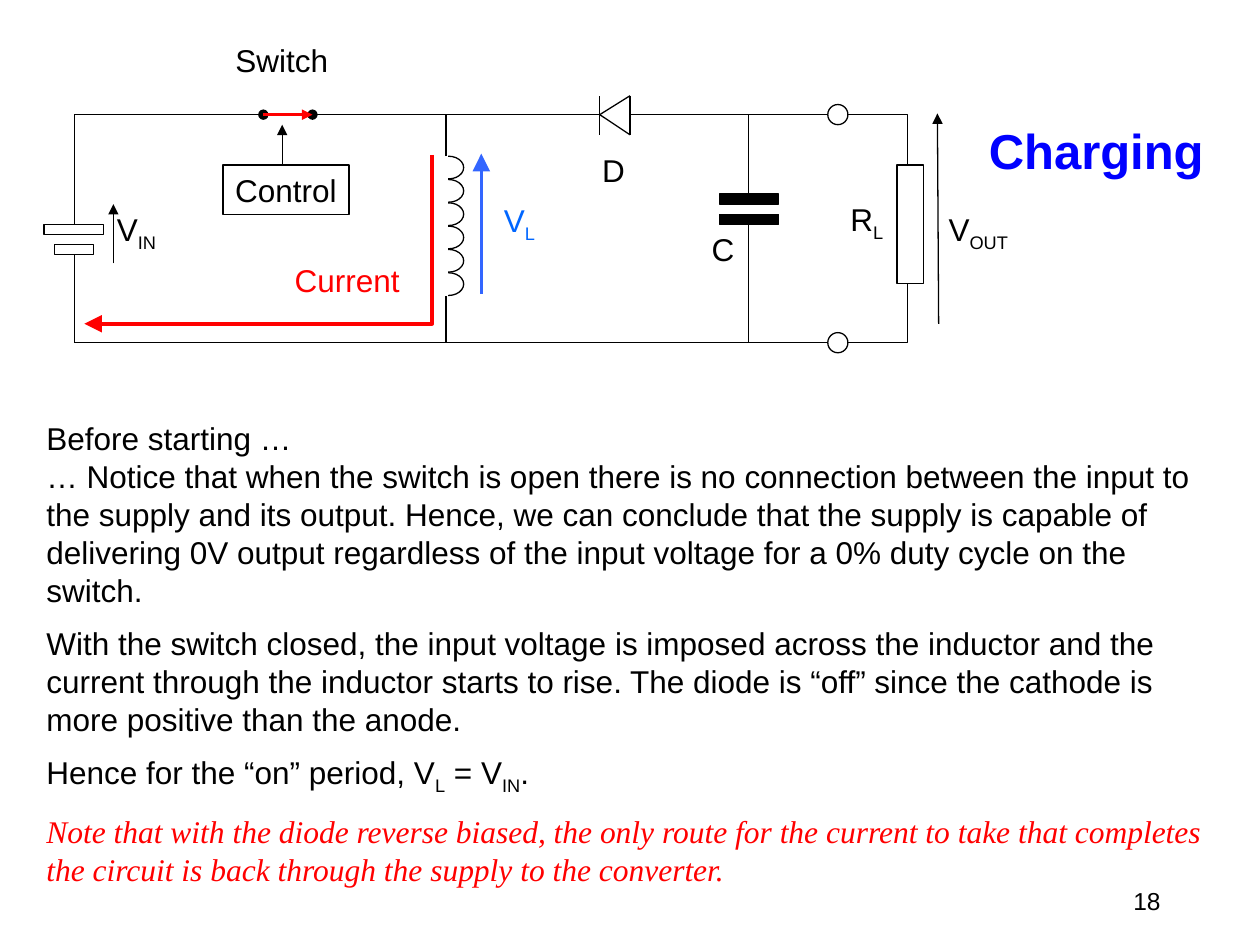
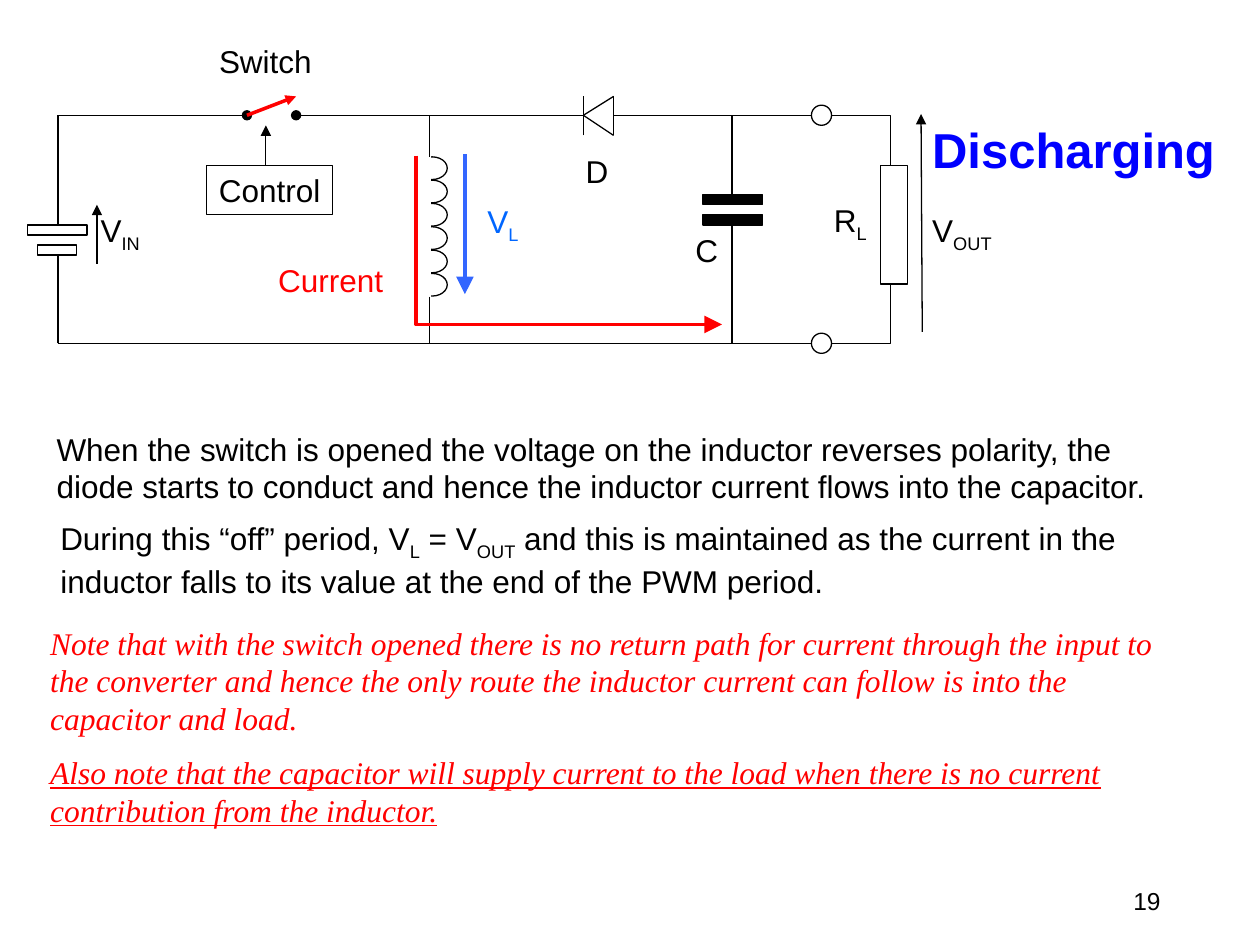
from dataclasses import dataclass

from lxml import etree
from pptx import Presentation
from pptx.dml.color import RGBColor
from pptx.enum.shapes import MSO_CONNECTOR, MSO_SHAPE
from pptx.enum.text import MSO_ANCHOR, MSO_AUTO_SIZE, PP_ALIGN
from pptx.oxml.ns import qn
from pptx.util import Inches, Pt

STRAIGHT = MSO_CONNECTOR.STRAIGHT
RECTANGLE = MSO_SHAPE.RECTANGLE
OVAL = MSO_SHAPE.OVAL
MIDDLE = MSO_ANCHOR.MIDDLE
GROW, FIXED = MSO_AUTO_SIZE.SHAPE_TO_FIT_TEXT, MSO_AUTO_SIZE.NONE
LEFT, CENTER, RIGHT = PP_ALIGN.LEFT, PP_ALIGN.CENTER, PP_ALIGN.RIGHT


@dataclass(frozen=True)
class Theme:
    black: str = "000000"
    white: str = "FFFFFF"
    red: str = "FF0000"
    title: str = "0000FF"
    voltage_arrow: str = "3366FF"
    voltage_label: str = "0066FF"
    sans: str = "Arial"
    serif: str = "Times New Roman"
    title_size: int = 28
    body_size: int = 18
    number_size: int = 14
    paragraph_gap: int = 9
    thin: float = 0.75
    thick: float = 2


@dataclass(frozen=True)
class Box:
    left: float
    top: float
    width: float
    height: float

    def inside(self, left, top, width, height):
        return Box(self.left + left, self.top + top, width, height)

    def point(self, x, y):
        return Inches(self.left + x), Inches(self.top + y)

    def lengths(self):
        return [Inches(v) for v in (self.left, self.top, self.width, self.height)]


THEME = Theme()
NOTE = {"font": THEME.serif, "color": THEME.red, "italic": True}


def rgb(color):
    return RGBColor.from_string(color)


def write(frame, text, font=THEME.sans, size=THEME.body_size, color=THEME.black,
          bold=False, italic=False, underline=False, align=LEFT, gap=THEME.paragraph_gap):
    """Text between tildes is set as a subscript."""
    para = frame.paragraphs[0]
    if para.runs:
        para = frame.add_paragraph()
        para.space_before = Pt(gap)
    para.alignment = align
    for index, piece in enumerate(text.split("~")):
        span = para.add_run()
        span.text = piece
        span.font.name = font
        span.font.size = Pt(size)
        span.font.color.rgb = rgb(color)
        span.font.bold = bold
        span.font.italic = italic
        span.font.underline = underline
        if index % 2:
            span.font._element.set("baseline", "-25000")


def text_frame(page, box, wrap=True, fit=GROW):
    frame = page.shapes.add_textbox(*box.lengths()).text_frame
    frame.word_wrap = wrap
    frame.auto_size = fit
    return frame


def label(page, box, text, **style):
    write(text_frame(page, box, wrap=False), text, **style)


def set_line(line, color, width, end=None, end_size="med"):
    line.color.rgb = rgb(color)
    line.width = Pt(width)
    if end:
        etree.SubElement(line._get_or_add_ln(), qn("a:tailEnd"),
                         type=end, w=end_size, len=end_size)


def draw_line(page, box, start, finish, color=THEME.black, width=THEME.thin, end=None,
              end_size="med"):
    connector = page.shapes.add_connector(STRAIGHT, *box.point(*start), *box.point(*finish))
    set_line(connector.line, color, width, end, end_size)
    etree.SubElement(connector._element.spPr, qn("a:effectLst"))


def draw_path(page, box, points, color=THEME.black, width=THEME.thin, end=None,
              end_size="med"):
    start, *rest = [box.point(*point) for point in points]
    builder = page.shapes.build_freeform(*start, scale=1.0)
    builder.add_line_segments(rest, close=False)
    shape = builder.convert_to_shape()
    shape.shadow.inherit = False
    shape.fill.background()
    set_line(shape.line, color, width, end, end_size)


def draw_shape(page, kind, box, fill=None, line=THEME.black):
    shape = page.shapes.add_shape(kind, *box.lengths())
    shape.shadow.inherit = False
    if fill:
        shape.fill.solid()
        shape.fill.fore_color.rgb = rgb(fill)
    else:
        shape.fill.background()
    set_line(shape.line, line, THEME.thin)
    return shape


def draw_source(page, box):
    draw_shape(page, RECTANGLE, box.inside(0, 1.5, 0.47, 0.08))
    draw_shape(page, RECTANGLE, box.inside(0.08, 1.66, 0.31, 0.08))
    draw_line(page, box, (0.24, 1.5), (0.24, 0.63))
    draw_line(page, box, (0.24, 2.44), (0.24, 1.74))
    draw_line(page, box, (0.55, 1.81), (0.55, 1.34), end="triangle")
    label(page, box.inside(0.48, 1.34, 0.53, 0.4), "V~IN~")


def draw_switch(page, box, tip):
    draw_line(page, box, (0.24, 0.63), (1.74, 0.63), end="oval")
    draw_line(page, box, (4.41, 0.63), (2.13, 0.63), end="oval")
    draw_line(page, box, (1.74, 0.63), (2.13, tip), THEME.red, THEME.thick, "triangle")
    control = draw_shape(page, RECTANGLE, box.inside(1.42, 1.03, 1, 0.39))
    control.text_frame.word_wrap = False
    control.text_frame.vertical_anchor = MIDDLE
    write(control.text_frame, "Control", align=CENTER)
    draw_line(page, box, (1.89, 1.03), (1.89, 0.71), end="triangle")
    label(page, box.inside(1.42, 0, 0.94, 0.4), "Switch")


def draw_inductor(page, box):
    for turn in range(6):
        draw_shape(page, OVAL, box.inside(3.09, 0.96 + 0.185 * turn, 0.24, 0.18))
    draw_shape(page, RECTANGLE, box.inside(3, 0.82, 0.2, 1.54), THEME.white, THEME.white)
    draw_line(page, box, (3.19, 2.07), (3.19, 2.44))
    draw_line(page, box, (3.19, 0.96), (3.19, 0.63))


def draw_diode(page, box):
    cathode, anode, top, middle, bottom = 4.41, 4.65, 0.48, 0.63, 0.79
    draw_line(page, box, (cathode, bottom), (cathode, top))
    draw_line(page, box, (anode, bottom), (anode, top))
    for corner in (top, bottom):
        draw_line(page, box, (anode, corner), (cathode, middle))
    label(page, box.inside(4.33, 0.87, 0.38, 0.4), "D")


def draw_capacitor(page, box):
    for plate in (1.26, 1.42):
        draw_shape(page, RECTANGLE, box.inside(5.36, plate, 0.47, 0.08), THEME.black)
    draw_line(page, box, (5.59, 2.44), (5.59, 1.5))
    draw_line(page, box, (5.59, 0.63), (5.59, 1.26))
    label(page, box.inside(5.2, 1.5, 0.38, 0.4), "C")


def draw_load(page, box, arrow_foot):
    draw_line(page, box, (4.65, 0.63), (6.22, 0.63))
    draw_line(page, box, (0.24, 2.44), (6.22, 2.44))
    for terminal in (0.55, 2.36):
        draw_shape(page, OVAL, box.inside(6.22, terminal, 0.16, 0.16))
    draw_path(page, box, [(6.38, 0.63), (6.85, 0.63), (6.85, 2.44), (6.38, 2.44)])
    draw_shape(page, RECTANGLE, box.inside(6.77, 1.03, 0.21, 0.94), THEME.white)
    label(page, box.inside(6.3, 1.26, 0.47, 0.4), "R~L~")
    label(page, box.inside(7.08, 1.34, 0.73, 0.4), "V~OUT~")
    draw_line(page, box, (7.1, arrow_foot), (7.09, 0.62), end="triangle")


def draw_flow(page, box, rising, current_end):
    ends = [(3.47, 0.94), (3.47, 2.05)]
    start, finish = reversed(ends) if rising else ends
    draw_line(page, box, start, finish, THEME.voltage_arrow, THEME.thick, "triangle", "lg")
    label(page, box.inside(3.55, 1.27, 0.46, 0.4), "V~L~", color=THEME.voltage_label)
    label(page, box.inside(1.89, 1.74, 1.08, 0.4), "Current", color=THEME.red)
    draw_path(page, box, [(3.08, 0.95), (3.08, 2.29), (current_end, 2.29)],
              THEME.red, THEME.thick, "triangle", "lg")


def draw_circuit(page, box, closed):
    draw_source(page, box)
    draw_inductor(page, box)
    draw_switch(page, box, tip=0.63 if closed else 0.48)
    draw_diode(page, box)
    draw_capacitor(page, box)
    draw_load(page, box, arrow_foot=2.29 if closed else 2.35)
    draw_flow(page, box, rising=closed, current_end=0.32 if closed else 5.51)


def add_page(deck, number, title, title_box, circuit_box, closed):
    page = deck.slides.add_slide(deck.slide_layouts[6])
    frame = text_frame(page, Box(7.06, 6.95, 2.25, 0.4), fit=FIXED)
    frame.vertical_anchor = MIDDLE
    write(frame, str(number), size=THEME.number_size, align=RIGHT)
    draw_circuit(page, circuit_box, closed)
    write(text_frame(page, title_box), title, size=THEME.title_size,
          color=THEME.title, bold=True)
    return page


def build_charging(deck):
    page = add_page(deck, 18, "Charging", Box(7.75, 0.91, 1.94, 0.57),
                    Box(0.35, 0.28, 7.81, 2.53), closed=True)
    frame = text_frame(page, Box(0.27, 3.28, 9.53, 3.86))
    write(frame, "Before starting …")
    write(frame, "… Notice that when the switch is open there is no connection between "
          "the input to the supply and its output. Hence, we can conclude that the supply "
          "is capable of delivering 0V output regardless of the input voltage for a 0% "
          "duty cycle on the switch.", gap=0)
    write(frame, "With the switch closed, the input voltage is imposed across the inductor "
          "and the current through the inductor starts to rise. The diode is “off” since "
          "the cathode is more positive than the anode.")
    write(frame, "Hence for the “on” period, V~L~ = V~IN~.")
    write(frame, "Note that with the diode reverse biased, the only route for the current "
          "to take that completes the circuit is back through the supply to the "
          "converter.", **NOTE)


def build_discharging(deck):
    page = add_page(deck, 19, "Discharging", Box(7.3, 0.9, 2.63, 0.57),
                    Box(0.22, 0.285, 7.81, 2.53), closed=False)
    write(text_frame(page, Box(0.35, 3.36, 8.98, 0.71)),
          "When the switch is opened the voltage on the inductor reverses polarity, the "
          "diode starts to conduct and hence the inductor current flows into the capacitor.")
    write(text_frame(page, Box(0.38, 4.07, 8.98, 0.71)),
          "During this “off” period, V~L~ = V~OUT~ and this is maintained as the current "
          "in the inductor falls to its value at the end of the PWM period.")
    notes = text_frame(page, Box(0.3, 4.9, 8.98, 1.77))
    write(notes, "Note that with the switch opened there is no return path for current "
          "through the input to the converter and hence the only route the inductor "
          "current can follow is into the capacitor and load.", **NOTE)
    write(notes, "Also note that the capacitor will supply current to the load when there "
          "is no current contribution from the inductor.", underline=True, **NOTE)


def main():
    deck = Presentation()
    deck.slide_width, deck.slide_height = Inches(10), Inches(7.5)
    build_charging(deck)
    build_discharging(deck)
    deck.save("out.pptx")


if __name__ == "__main__":
    main()
